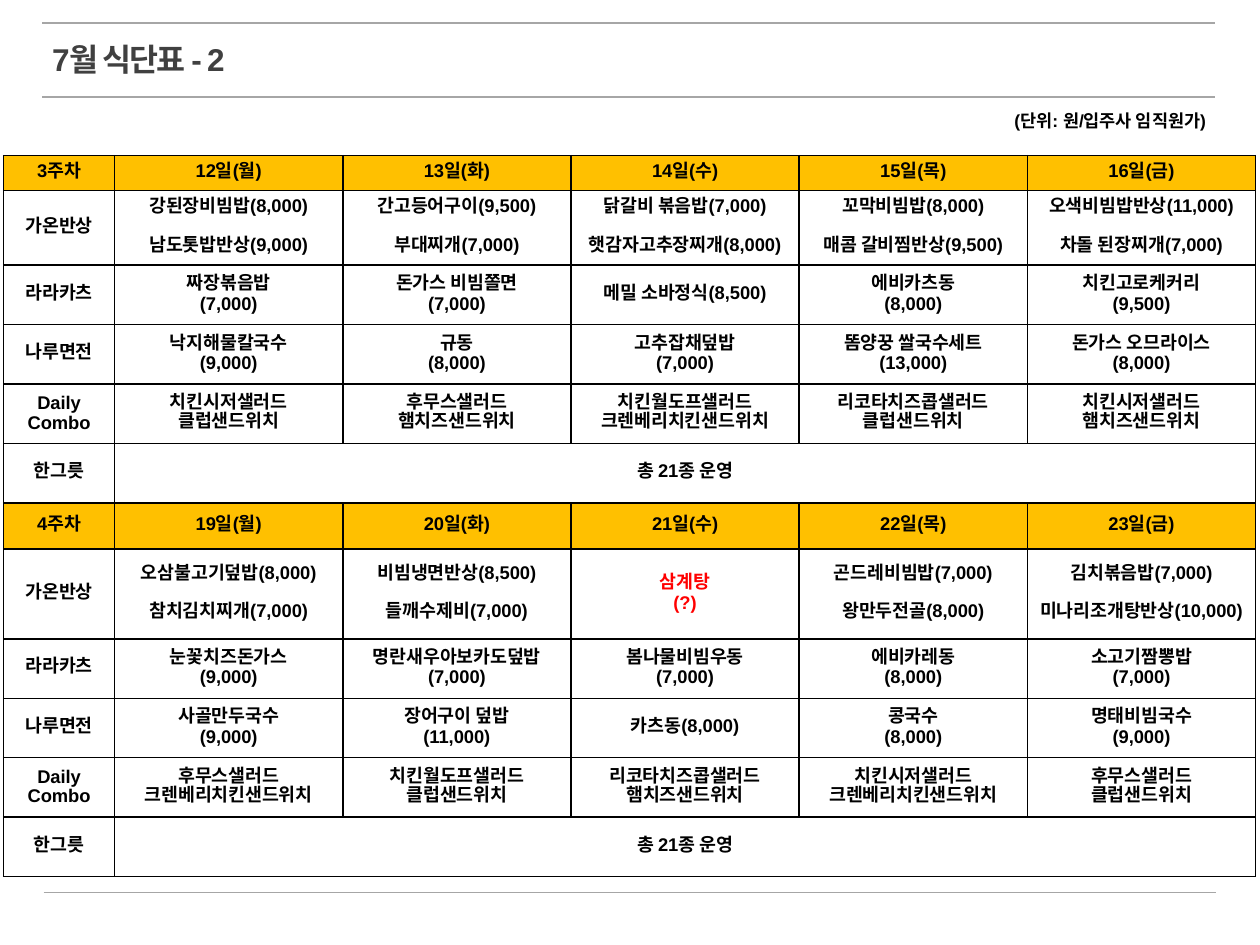
"""Build the two-week July cafeteria menu slide."""
from pptx import Presentation
from pptx.dml.color import RGBColor
from pptx.enum.shapes import MSO_CONNECTOR
from pptx.enum.text import MSO_ANCHOR, PP_ALIGN
from pptx.oxml import parse_xml
from pptx.oxml.ns import nsdecls
from pptx.util import Pt

COLORS = {"rule": "A6A6A6", "title": "404040", "text": "000000", "alert": "FF0000",
          "header": "FFC000", "body": "FFFFFF", "border": "000000"}
FONT = "Arial"
TITLE = "7월 식단표 - 2"
UNIT_NOTE = "(단위: 원/입주사 임직원가)"
UNDECIDED = "삼계탕\n(?)"
DAILY_TOTAL = "총 21종 운영"
CORNERS = ["가온반상", "라라카츠", "나루면전", "Daily\nCombo", "한그릇"]

WEEKS = [
    [
        ["3주차", "12일(월)", "13일(화)", "14일(수)", "15일(목)", "16일(금)"],
        ["강된장비빔밥(8,000)\n남도톳밥반상(9,000)", "간고등어구이(9,500)\n부대찌개(7,000)",
         "닭갈비 볶음밥(7,000)\n햇감자고추장찌개(8,000)", "꼬막비빔밥(8,000)\n매콤 갈비찜반상(9,500)",
         "오색비빔밥반상(11,000)\n차돌 된장찌개(7,000)"],
        ["짜장볶음밥\n(7,000)", "돈가스 비빔쫄면\n(7,000)", "메밀 소바정식(8,500)",
         "에비카츠동\n(8,000)", "치킨고로케커리\n(9,500)"],
        ["낙지해물칼국수\n(9,000)", "규동\n(8,000)", "고추잡채덮밥\n(7,000)",
         "똠양꿍 쌀국수세트\n(13,000)", "돈가스 오므라이스\n(8,000)"],
        ["치킨시저샐러드\n클럽샌드위치", "후무스샐러드\n햄치즈샌드위치",
         "치킨월도프샐러드\n크렌베리치킨샌드위치", "리코타치즈콥샐러드\n클럽샌드위치",
         "치킨시저샐러드\n햄치즈샌드위치"],
        [DAILY_TOTAL],
    ],
    [
        ["4주차", "19일(월)", "20일(화)", "21일(수)", "22일(목)", "23일(금)"],
        ["오삼불고기덮밥(8,000)\n참치김치찌개(7,000)", "비빔냉면반상(8,500)\n들깨수제비(7,000)",
         UNDECIDED, "곤드레비빔밥(7,000)\n왕만두전골(8,000)",
         "김치볶음밥(7,000)\n미나리조개탕반상(10,000)"],
        ["눈꽃치즈돈가스\n(9,000)", "명란새우아보카도덮밥\n(7,000)", "봄나물비빔우동\n(7,000)",
         "에비카레동\n(8,000)", "소고기짬뽕밥\n(7,000)"],
        ["사골만두국수\n(9,000)", "장어구이 덮밥\n(11,000)", "카츠동(8,000)",
         "콩국수\n(8,000)", "명태비빔국수\n(9,000)"],
        ["후무스샐러드\n크렌베리치킨샌드위치", "치킨월도프샐러드\n클럽샌드위치",
         "리코타치즈콥샐러드\n햄치즈샌드위치", "치킨시저샐러드\n크렌베리치킨샌드위치",
         "후무스샐러드\n클럽샌드위치"],
        [DAILY_TOTAL],
    ],
]
COLUMN_WIDTHS = [63.5] + [130.4] * 5
FIRST_ROW_HEIGHTS = [(20, 42.6), (26.4, 51.2)]
ROW_HEIGHT = 34
LINE_SPACING = 11
RULES = [(24.2, 13.2), (24.2, 55.5), (25, 510)]
RULE_LENGTH = 670


def write(frame, text, size=10.5, color="text", align=PP_ALIGN.CENTER, line=None, tracking=None):
    """Write one paragraph per line, with a gap between separately priced dishes."""
    frame.word_wrap = True
    previous = ""
    for index, content in enumerate(text.split("\n")):
        para = frame.paragraphs[0] if index == 0 else frame.add_paragraph()
        para.alignment = align
        if line:
            para.line_spacing = Pt(line)
        if previous.endswith(")"):
            para.space_before = Pt(line)
        span = para.add_run()
        span.text = content
        span.font.name, span.font.size, span.font.bold = FONT, Pt(size), True
        span.font.color.rgb = RGBColor.from_string(COLORS[color])
        if tracking:
            span.font._element.set("spc", str(tracking * 100))
        previous = content


def add_text(page, text, left, top, width, height, **style):
    """Add a text box."""
    box = page.shapes.add_textbox(Pt(left), Pt(top), Pt(width), Pt(height))
    write(box.text_frame, text, **style)


def add_rule(page, left, top):
    """Add a thin horizontal rule."""
    rule = page.shapes.add_connector(MSO_CONNECTOR.STRAIGHT, Pt(left), Pt(top),
                                     Pt(left + RULE_LENGTH), Pt(top))
    rule.line.color.rgb = RGBColor.from_string(COLORS["rule"])
    rule.line.width = Pt(1)
    rule._element.spPr.append(parse_xml(f"<a:effectLst {nsdecls('a')}/>"))


def style_cell(cell, fill):
    """Fill a cell and draw its four borders."""
    cell.vertical_anchor = MSO_ANCHOR.MIDDLE
    cell.fill.solid()
    cell.fill.fore_color.rgb = RGBColor.from_string(COLORS[fill])
    for index, side in enumerate("LRTB"):
        cell._tc.get_or_add_tcPr().insert(index, parse_xml(
            f'<a:ln{side} {nsdecls("a")} w="{Pt(1)}"><a:solidFill>'
            f'<a:srgbClr val="{COLORS["border"]}"/></a:solidFill></a:ln{side}>'))


def add_menu(page):
    """Add the menu table with both weeks."""
    rows = []
    for header, *menus in WEEKS:
        rows += [header] + [[corner, *menu] for corner, menu in zip(CORNERS, menus)]
    heights = [height for first in FIRST_ROW_HEIGHTS for height in (*first, *[ROW_HEIGHT] * 4)]
    table = page.shapes.add_table(len(rows), len(COLUMN_WIDTHS), Pt(2), Pt(88.9),
                                  Pt(sum(COLUMN_WIDTHS)), Pt(sum(heights))).table
    table.first_row = table.horz_banding = False
    for column, width in zip(table.columns, COLUMN_WIDTHS):
        column.width = Pt(width)
    for row_index, (row, height) in enumerate(zip(rows, heights)):
        table.rows[row_index].height = Pt(height)
        fill = "header" if row_index % len(WEEKS[0]) == 0 else "body"
        for cell in table.rows[row_index].cells:
            style_cell(cell, fill)
        for column_index, text in enumerate(row):
            write(table.cell(row_index, column_index).text_frame, text, line=LINE_SPACING,
                  color="alert" if text == UNDECIDED else "text")
        if len(row) == 2:
            table.cell(row_index, 1).merge(table.cell(row_index, len(COLUMN_WIDTHS) - 1))


deck = Presentation()
deck.slide_width, deck.slide_height = Pt(720), Pt(540)
page = deck.slides.add_slide(deck.slide_layouts[6])
for left, top in RULES:
    add_rule(page, left, top)
add_text(page, TITLE, 22.8, 19.6, 377, 29, size=18, color="title", align=PP_ALIGN.LEFT, tracking=-1)
add_menu(page)
add_text(page, UNIT_NOTE, 504, 59.4, 192.2, 19.4, size=10, align=PP_ALIGN.RIGHT)
deck.save("out.pptx")
